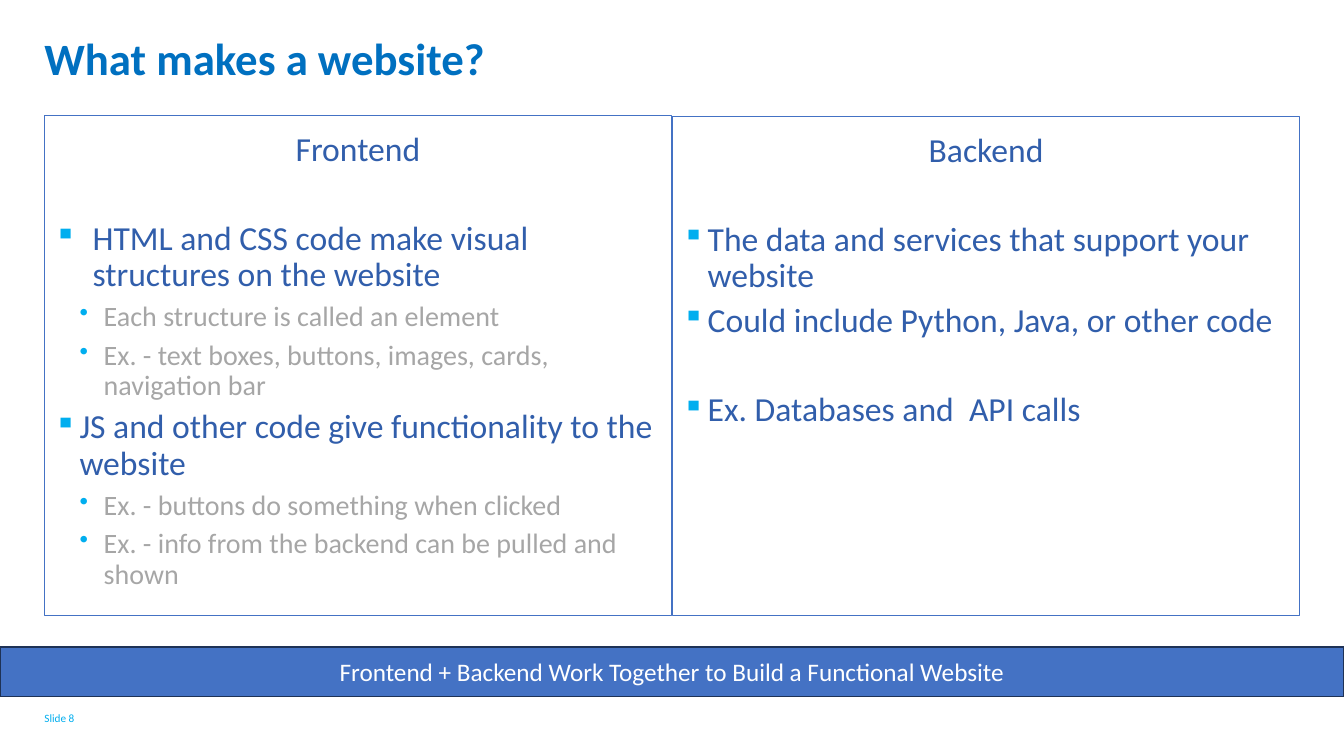
from dataclasses import dataclass

from lxml.etree import SubElement
from pptx import Presentation
from pptx.dml.color import RGBColor
from pptx.enum.shapes import MSO_SHAPE
from pptx.enum.text import MSO_ANCHOR, PP_ALIGN
from pptx.oxml.ns import qn
from pptx.util import Inches, Pt


@dataclass(frozen=True)
class Theme:
    font: str = "Calibri"
    title: str = "0070C0"
    heading: str = "315EAB"
    detail: str = "A6A6A6"
    accent: str = "00AEEF"
    band: str = "4472C4"
    band_edge: str = "1E3256"
    white: str = "FFFFFF"
    title_size: int = 32
    heading_size: int = 24
    detail_size: int = 20
    band_size: int = 18
    footer_size: int = 8


theme = Theme()


def style(para, size, color, bold=False):
    font = para.font
    font.name, font.size, font.bold = theme.font, Pt(size), bold
    font.color.rgb = RGBColor.from_string(color)


def add_bullet(para, symbol, left, hanging):
    """Give the paragraph a coloured bullet; left and hanging are in inches."""
    properties = para._p.get_or_add_pPr()
    properties.set("marL", str(Inches(left)))
    properties.set("indent", str(-Inches(hanging)))
    color = SubElement(properties, qn("a:buClr"))
    SubElement(color, qn("a:srgbClr"), val=theme.accent)
    SubElement(properties, qn("a:buSzPct"), val="90000")
    SubElement(properties, qn("a:buChar"), char=symbol)


deck = Presentation()
deck.slide_width, deck.slide_height = Inches(13.33), Inches(7.5)
page = deck.slides.add_slide(deck.slide_layouts[6])

margin = 0.44
panel_width = 6.22
panel_bottom = 6.11
gap_after = 36  # points, about one empty line

# Each point: text, level, left indent, hanging indent, space after
panels = [
    ("Frontend", margin, 1.14, [
        ("HTML and CSS code make visual structures on the website", 0, 0.38, 0.38, 4),
        ("Each structure is called an element", 1, 0.49, 0.24, 4),
        ("Ex. - text boxes, buttons, images, cards, navigation bar", 1, 0.49, 0.24, 4),
        ("JS and other code give functionality to the website", 0, 0.25, 0.25, 4),
        ("Ex. - buttons do something when clicked", 1, 0.49, 0.24, 4),
        ("Ex. - info from the backend can be pulled and shown", 1, 0.49, 0.24, 4),
    ]),
    ("Backend", 6.67, 1.15, [
        ("The data and services that support your website", 0, 0.25, 0.25, 4),
        ("Could include Python, Java, or other code", 0, 0.25, 0.25, gap_after),
        ("Ex. Databases and  API calls", 0, 0.25, 0.25, 4),
    ]),
]
levels = [("▪", theme.heading_size, theme.heading), ("•", theme.detail_size, theme.detail)]

for heading, left, top, points in panels:
    panel = page.shapes.add_shape(
        MSO_SHAPE.RECTANGLE, Inches(left), Inches(top),
        Inches(panel_width), Inches(panel_bottom - top))
    panel.shadow.inherit = False
    panel.fill.background()
    panel.line.color.rgb = RGBColor.from_string(theme.band)
    panel.line.width = Pt(0.5)
    frame = panel.text_frame
    frame.word_wrap = True
    frame.vertical_anchor = MSO_ANCHOR.TOP

    para = frame.paragraphs[0]
    para.text = heading
    para.alignment = PP_ALIGN.CENTER
    para.line_spacing = 1.2
    para.space_after = Pt(gap_after)
    style(para, theme.heading_size, theme.heading)

    for text, level, indent, hanging, space_after in points:
        symbol, size, color = levels[level]
        para = frame.add_paragraph()
        para.text = text
        para.level = level
        para.alignment = PP_ALIGN.LEFT
        para.line_spacing = 0.9
        para.space_before, para.space_after = Pt(2), Pt(space_after)
        add_bullet(para, symbol, indent, hanging)
        style(para, size, color)

title = page.shapes.add_textbox(Inches(margin), Inches(0.49), Inches(12.44), Inches(0.4))
frame = title.text_frame
frame.word_wrap = True
frame.vertical_anchor = MSO_ANCHOR.BOTTOM
frame.margin_left = 0
para = frame.paragraphs[0]
para.text = "What makes a website?"
para.line_spacing = 0.9
style(para, theme.title_size, theme.title, bold=True)

band = page.shapes.add_shape(
    MSO_SHAPE.RECTANGLE, 0, Inches(6.42), deck.slide_width, Inches(0.49))
band.shadow.inherit = False
band.fill.solid()
band.fill.fore_color.rgb = RGBColor.from_string(theme.band)
band.line.color.rgb = RGBColor.from_string(theme.band_edge)
band.line.width = Pt(1)
frame = band.text_frame
frame.word_wrap = True
frame.vertical_anchor = MSO_ANCHOR.MIDDLE
para = frame.paragraphs[0]
para.text = "Frontend + Backend Work Together to Build a Functional Website"
para.alignment = PP_ALIGN.CENTER
style(para, theme.band_size, theme.white)

footer = page.shapes.add_textbox(Inches(margin), Inches(7.06), Inches(0.52), Inches(0.35))
frame = footer.text_frame
frame.word_wrap = True
frame.margin_left = frame.margin_right = frame.margin_top = frame.margin_bottom = 0
para = frame.paragraphs[0]
para.text = "Slide 8"
style(para, theme.footer_size, theme.accent)

deck.save("out.pptx")
